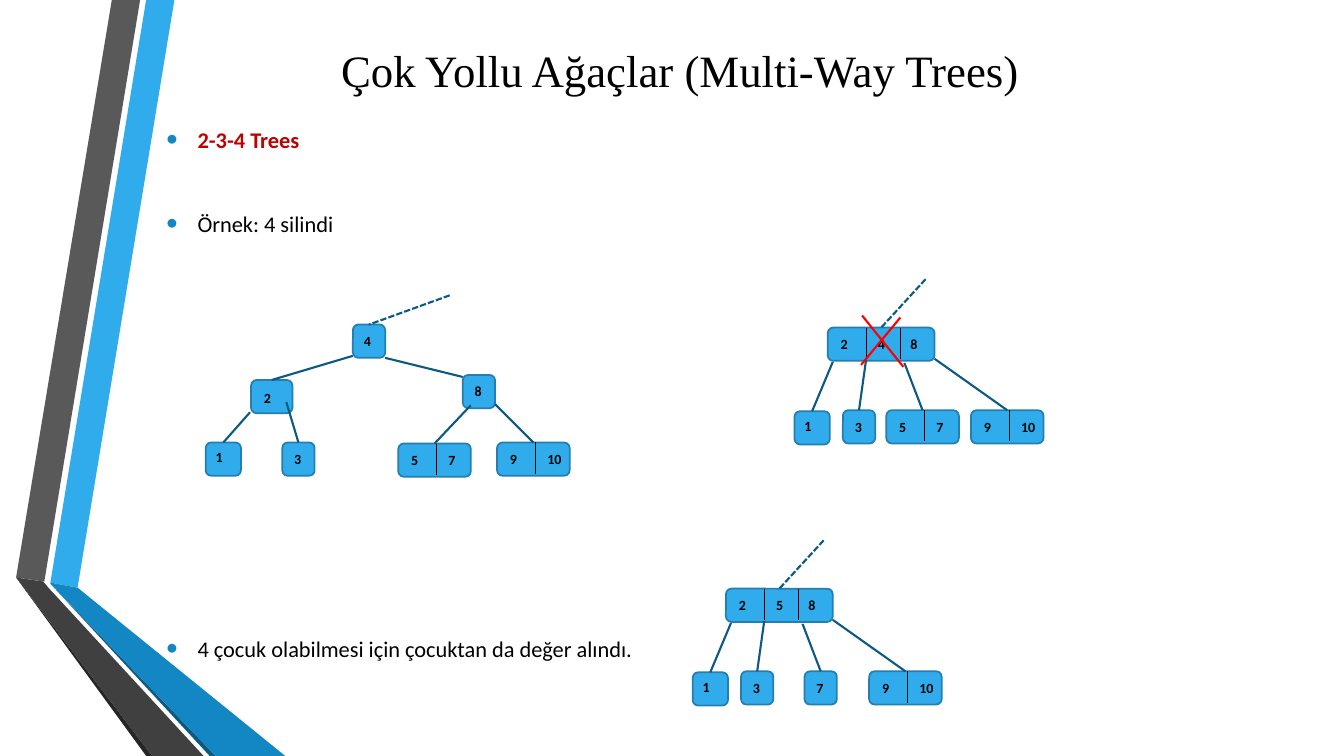
from dataclasses import dataclass

from lxml import etree
from pptx import Presentation
from pptx.dml.color import RGBColor
from pptx.enum.dml import MSO_LINE
from pptx.enum.shapes import MSO_CONNECTOR, MSO_SHAPE
from pptx.enum.text import MSO_ANCHOR, MSO_AUTO_SIZE, PP_ALIGN
from pptx.oxml.ns import qn
from pptx.shapes.autoshape import Shape
from pptx.shapes.connector import Connector
from pptx.slide import Slide
from pptx.text.text import _Paragraph as Paragraph
from pptx.util import Inches, Pt

STRAIGHT = MSO_CONNECTOR.STRAIGHT
ROUNDED = MSO_SHAPE.ROUNDED_RECTANGLE
DASHED = MSO_LINE.SQUARE_DOT
CENTER, LEFT, JUSTIFY = PP_ALIGN.CENTER, PP_ALIGN.LEFT, PP_ALIGN.JUSTIFY
TOP, MIDDLE = MSO_ANCHOR.TOP, MSO_ANCHOR.MIDDLE
NO_AUTOFIT = MSO_AUTO_SIZE.NONE

BLACK = RGBColor(0x00, 0x00, 0x00)
RED = RGBColor(0xFF, 0x00, 0x00)
DARK_RED = RGBColor(0xC0, 0x00, 0x00)
SKY = RGBColor(0x30, 0xAC, 0xEC)
BLUE = RGBColor(0x12, 0x87, 0xC3)
NODE_LINE = RGBColor(0x24, 0x7F, 0xAF)
NAVY = RGBColor(0x0C, 0x5A, 0x82)
GRAY = RGBColor(0x59, 0x59, 0x59)
DARK_GRAY = RGBColor(0x40, 0x40, 0x40)
CHARCOAL = RGBColor(0x26, 0x26, 0x26)

NODE_HEIGHT = 0.33
KEY_OFFSETS = (0.03, 0.4, 0.72)
DIVIDER_OFFSETS = (0.38, 0.72)
DIVIDER_HEIGHT = 0.31

Point = tuple[float, float]


@dataclass(frozen=True)
class Ribbon:
    color: RGBColor
    points: tuple[Point, ...]


@dataclass(frozen=True)
class Node:
    """A tree node; link is where the line to its top middle starts."""
    left: float
    top: float
    width: float
    keys: tuple[str, ...]
    link: Point | None = None
    dashed: bool = False
    key_left: float = 0.02
    key_top: float = 0.03


@dataclass(frozen=True)
class Bullet:
    text: str
    color: RGBColor
    bold: bool
    alignment: PP_ALIGN
    space_before: float


RIBBONS = (
    Ribbon(SKY, ((0.5, 5.78), (0.77, 5.83), (1.73, 0), (1.45, 0))),
    Ribbon(GRAY, ((1.39, 0), (1.11, 0), (0.16, 5.73), (0.44, 5.77))),
    Ribbon(CHARCOAL, ((0.16, 5.73), (1.45, 7.5), (1.51, 7.5))),
    Ribbon(NAVY, ((0.5, 5.79), (2.08, 7.5), (2.14, 7.5))),
    Ribbon(BLUE, ((0.5, 5.78), (0.5, 5.79), (2.14, 7.5), (2.83, 7.5), (0.77, 5.83))),
    Ribbon(DARK_GRAY, ((2.02, 7.5), (0.48, 5.83), (0.43, 5.77), (0.16, 5.73), (1.51, 7.5))),
)

BULLETS = (
    Bullet("2-3-4 Trees", DARK_RED, True, JUSTIFY, 0),
    Bullet("Örnek: 4 silindi", BLACK, False, LEFT, 31),
    Bullet("4 çocuk olabilmesi için çocuktan da değer alındı.", BLACK, False, LEFT, 275),
)

BINARY_TREE = (
    Node(3.5, 3.22, 0.32, ("4",), (4.46, 2.93), True, key_left=0.01),
    Node(2.49, 3.77, 0.41, ("2",), (3.5, 3.53), key_left=0.03, key_top=0.05),
    Node(4.59, 3.72, 0.32, ("8",)),
    Node(2.04, 4.39, 0.35, ("1",), (2.48, 4.09), key_left=0, key_top=0.01),
    Node(2.8, 4.39, 0.32, ("3",), (2.84, 3.99)),
    Node(3.95, 4.4, 0.72, ("5", "7"), (4.67, 4.02)),
    Node(4.93, 4.39, 0.72, ("9", "10"), (4.91, 4.01)),
)


def four_child_tree(root_keys: tuple[str, ...], third_child: tuple[str, ...]) -> tuple[Node, ...]:
    """Nodes placed relative to the top left corner of the root."""
    third_width = 0.72 if len(third_child) > 1 else 0.32
    return (
        Node(0, 0, 1.06, root_keys, (0.97, -0.48), True),
        Node(-0.33, 0.83, 0.35, ("1",), (0.05, 0.34), key_left=0, key_top=0.01),
        Node(0.15, 0.82, 0.32, ("3",), (0.38, 0.32)),
        Node(0.94 - third_width / 2, 0.82, third_width, third_child, (0.76, 0.35)),
        Node(1.42, 0.82, 0.72, ("9", "10"), (1.06, 0.31)),
    )


def write_run(paragraph: Paragraph, text: str, color: RGBColor, **font_values) -> None:
    run = paragraph.add_run()
    run.text = text
    for name, value in font_values.items():
        setattr(run.font, name, value)
    run.font.color.rgb = color


def draw_line(slide: Slide, start: Point, end: Point, color: RGBColor = NAVY,
              width: float = 1.5) -> Connector:
    connector = slide.shapes.add_connector(STRAIGHT, *map(Inches, start + end))
    connector.line.color.rgb = color
    connector.line.width = Pt(width)
    etree.SubElement(connector.element.spPr, qn("a:effectLst"))
    return connector


def draw_ribbon(slide: Slide, ribbon: Ribbon) -> None:
    points = [(Inches(x), Inches(y)) for x, y in ribbon.points]
    builder = slide.shapes.build_freeform(*points[0])
    builder.add_line_segments(points[1:], close=True)
    shape = builder.convert_to_shape()
    shape.shadow.inherit = False
    shape.fill.solid()
    shape.fill.fore_color.rgb = ribbon.color
    shape.line.fill.background()


def draw_key(slide: Slide, left: float, top: float, key: str) -> None:
    box = slide.shapes.add_textbox(*map(Inches, (left, top, 0.36, 0.27)))
    box.text_frame.word_wrap = True
    write_run(box.text_frame.paragraphs[0], key, BLACK,
              name="Calibri", size=Pt(10), bold=True)


def draw_node(slide: Slide, node: Node, left: float, top: float) -> Shape:
    shape = slide.shapes.add_shape(
        ROUNDED, *map(Inches, (left, top, node.width, NODE_HEIGHT)))
    shape.shadow.inherit = False
    shape.fill.solid()
    shape.fill.fore_color.rgb = SKY
    shape.line.color.rgb = NODE_LINE
    shape.line.width = Pt(1.25)
    for offset in DIVIDER_OFFSETS[:len(node.keys) - 1]:
        draw_line(slide, (left + offset, top), (left + offset, top + DIVIDER_HEIGHT), BLACK, 0.75)
    offsets = KEY_OFFSETS if len(node.keys) > 1 else (node.key_left,)
    for key, offset in zip(node.keys, offsets):
        draw_key(slide, left + offset, top + node.key_top, key)
    return shape


def draw_tree(slide: Slide, nodes: tuple[Node, ...], left: float = 0, top: float = 0) -> None:
    for node in nodes:
        node_left, node_top = left + node.left, top + node.top
        shape = draw_node(slide, node, node_left, node_top)
        if node.link:
            start = (left + node.link[0], top + node.link[1])
            connector = draw_line(slide, start, (node_left + node.width / 2, node_top))
            connector.end_connect(shape, 0)
            if node.dashed:
                connector.line.dash_style = DASHED


def place_placeholder(shape: Shape, top: float, height: float, anchor: MSO_ANCHOR) -> None:
    shape.left, shape.top, shape.width, shape.height = map(Inches, (1.55, top, 10.39, height))
    shape.text_frame.vertical_anchor = anchor
    shape.text_frame.auto_size = NO_AUTOFIT
    tree = shape.element.getparent()
    tree.append(shape.element)


def write_bullet(paragraph: Paragraph, bullet: Bullet) -> None:
    values = {"alignment": bullet.alignment, "line_spacing": 1.5,
              "space_before": Pt(bullet.space_before), "space_after": Pt(0)}
    for name, value in values.items():
        setattr(paragraph, name, value)
    properties = paragraph._p.get_or_add_pPr()
    properties.set("marL", str(Inches(0.31)))
    properties.set("indent", str(Inches(-0.31)))
    color = etree.SubElement(properties, qn("a:buClr"))
    etree.SubElement(color, qn("a:srgbClr"), val=str(BLUE))
    etree.SubElement(properties, qn("a:buSzPct"), val="145000")
    etree.SubElement(properties, qn("a:buFont"), typeface="Arial")
    etree.SubElement(properties, qn("a:buChar"), char="•")
    write_run(paragraph, bullet.text, bullet.color,
              name="Calibri", size=Pt(16), bold=bullet.bold)


def main() -> None:
    presentation = Presentation()
    presentation.slide_width, presentation.slide_height = Inches(13.33), Inches(7.5)
    slide = presentation.slides.add_slide(presentation.slide_layouts[1])
    for ribbon in RIBBONS:
        draw_ribbon(slide, ribbon)

    title, body = slide.placeholders
    place_placeholder(title, 0.17, 1.04, MIDDLE)
    heading = title.text_frame.paragraphs[0]
    heading.alignment = CENTER
    write_run(heading, "Çok Yollu Ağaçlar (Multi-Way Trees)", BLACK,
              name="Times New Roman", size=Pt(32))
    place_placeholder(body, 1.07, 6.3, TOP)
    for index, bullet in enumerate(BULLETS):
        frame = body.text_frame
        write_bullet(frame.add_paragraph() if index else frame.paragraphs[0], bullet)

    draw_tree(slide, BINARY_TREE)
    draw_tree(slide, four_child_tree(("2", "4", "8"), ("5", "7")), 8.21, 3.25)
    draw_line(slide, (8.55, 3.13), (8.96, 3.64), RED)
    draw_line(slide, (8.54, 3.62), (8.93, 3.15), RED)
    draw_tree(slide, four_child_tree(("2", "5", "8"), ("7",)), 7.2, 5.84)
    draw_line(slide, (3.82, 3.55), (4.59, 3.74))
    presentation.save("out.pptx")


if __name__ == "__main__":
    main()
